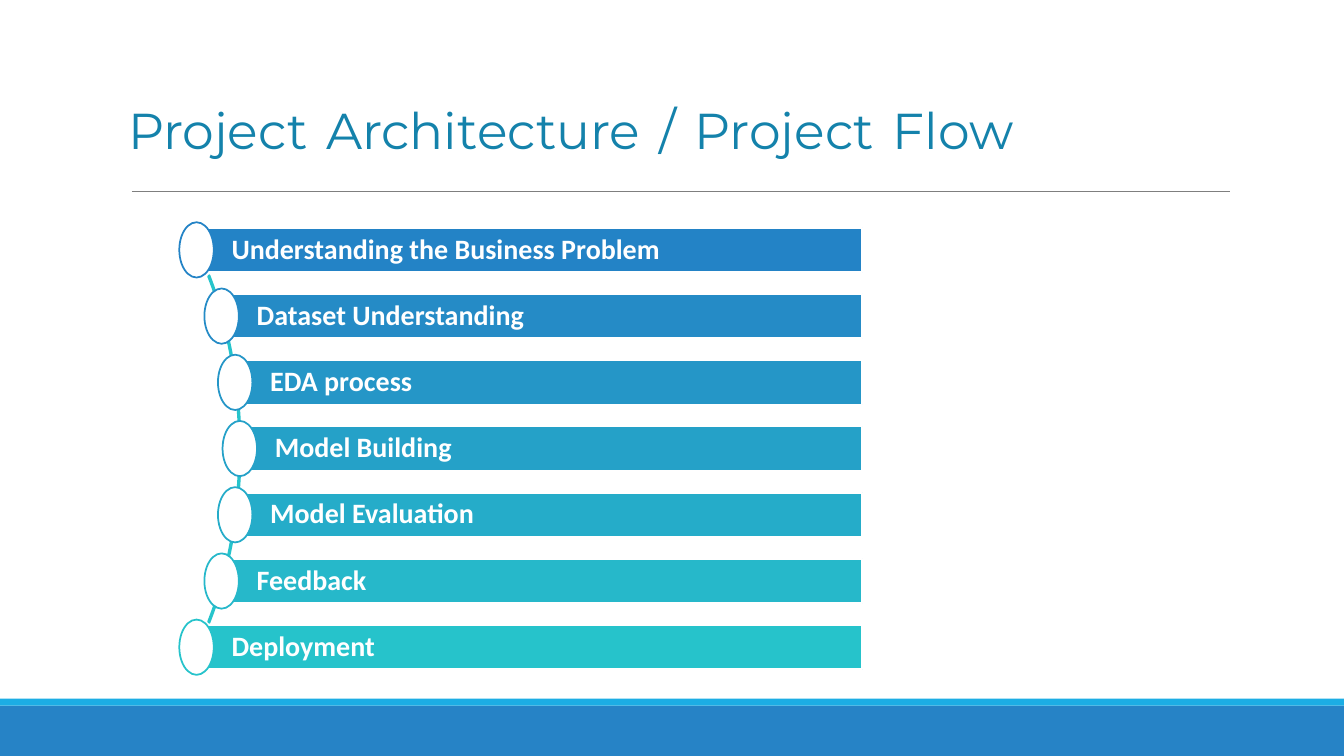
"""Build the project flow slide: a title and seven steps along an arc."""
from lxml import etree
from pptx import Presentation
from pptx.dml.color import RGBColor
from pptx.enum import shapes, text
from pptx.oxml.ns import qn
from pptx.util import Pt

WHITE = RGBColor(0xFF, 0xFF, 0xFF)
BLUE = RGBColor(0x26, 0x83, 0xC6)
SKY = RGBColor(0x1C, 0xAD, 0xE4)
GREY = RGBColor(0x7F, 0x7F, 0x7F)
TITLE = RGBColor(0x14, 0x82, 0xAB)
NAVY = RGBColor(0x00, 0x27, 0x76)
ARC = RGBColor(0x26, 0xC4, 0xCB)

STEPS = [
    ("Understanding the Business Problem", 140.4, RGBColor(0x23, 0x83, 0xC6)),
    ("Dataset Understanding", 158.3, RGBColor(0x25, 0x8B, 0xC6)),
    ("EDA process", 168, RGBColor(0x25, 0x96, 0xC7)),
    ("Model Building", 171.3, RGBColor(0x25, 0xA1, 0xC8)),
    ("Model Evaluation", 168, RGBColor(0x25, 0xAC, 0xC9)),
    ("Feedback", 158.3, RGBColor(0x26, 0xB8, 0xCA)),
    ("Deployment", 140.4, RGBColor(0x26, 0xC3, 0xCB)),
]
BAR_TOP, BAR_RIGHT, BAR_H, PITCH = 162.7, 616, 31.6, 47.3
DOT_W, DOT_H = 24.6, 39.5

prs = Presentation()
prs.slide_width, prs.slide_height = Pt(960), Pt(540)
s = prs.slides.add_slide(prs.slide_layouts[6])


def add_shape(kind, x, y, w, h, fill=None, line=None):
    sp = s.shapes.add_shape(kind, Pt(x), Pt(y), Pt(w), Pt(h))
    sp.shadow.inherit = False
    if fill is None:
        sp.fill.background()
    else:
        sp.fill.solid()
        sp.fill.fore_color.rgb = fill
    if line is None:
        sp.line.fill.background()
    else:
        sp.line.color.rgb = line
        sp.line.width = Pt(1.25)
    return sp


def format_run(r, name, size, color, bold):
    r.font.name, r.font.size, r.font.bold = name, Pt(size), bold
    r.font.color.rgb = color


add_shape(shapes.MSO_SHAPE.RECTANGLE, 0, 504, 960, 36, BLUE)
add_shape(shapes.MSO_SHAPE.RECTANGLE, 0, 499, 960, 5, SKY)

rule = s.shapes.add_connector(shapes.MSO_CONNECTOR.STRAIGHT, Pt(94.2), Pt(136.6), Pt(878.9), Pt(136.6))
rule.line.color.rgb = GREY
rule.line.width = Pt(0.75)
etree.SubElement(rule._element.spPr, qn("a:effectLst"))

tf = s.shapes.add_textbox(Pt(84.4), Pt(38.9), Pt(792), Pt(81.3)).text_frame
tf.word_wrap = True
tf.vertical_anchor = text.MSO_ANCHOR.BOTTOM
p = tf.paragraphs[0]
p.line_spacing = 0.85
for i, word in enumerate("Project Architecture / Project Flow".split()):
    if i:
        r = p.add_run()
        r.text = " "
        format_run(r, "Arial", 48, NAVY, True)
    r = p.add_run()
    r.text = word
    format_run(r, "Montserrat", 36, TITLE, False)

arc = add_shape(shapes.MSO_SHAPE.BLOCK_ARC, -121, 87.1, 293, 467.3, line=ARC)
for i, value in enumerate((189, 27, 0.004)):
    arc.adjustments[i] = value

for i, (label, x, color) in enumerate(STEPS):
    y = BAR_TOP + i * PITCH
    bar = add_shape(shapes.MSO_SHAPE.RECTANGLE, x, y, BAR_RIGHT - x, BAR_H, color, WHITE)
    tf = bar.text_frame
    tf.word_wrap = True
    tf.vertical_anchor = text.MSO_ANCHOR.MIDDLE
    tf.margin_left = Pt(25)
    tf.margin_top = tf.margin_right = tf.margin_bottom = Pt(4)
    tf.text = label
    p = tf.paragraphs[0]
    p.alignment = text.PP_ALIGN.LEFT
    p.line_spacing = 0.9
    format_run(p.runs[0], "Calibri", 20, WHITE, True)
    add_shape(shapes.MSO_SHAPE.OVAL, x - DOT_W / 2, y + (BAR_H - DOT_H) / 2, DOT_W, DOT_H, WHITE, color)

prs.save("out.pptx")
